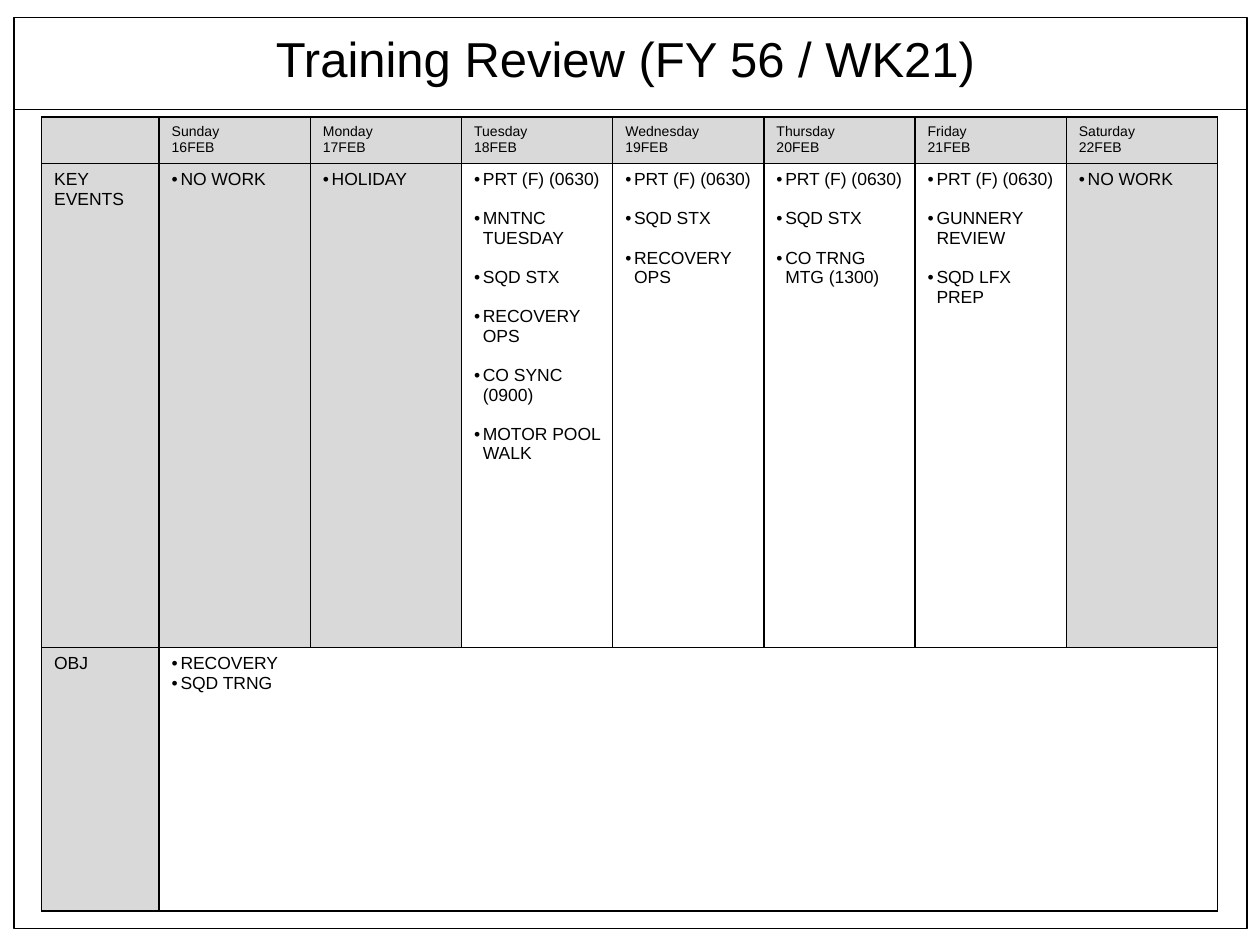
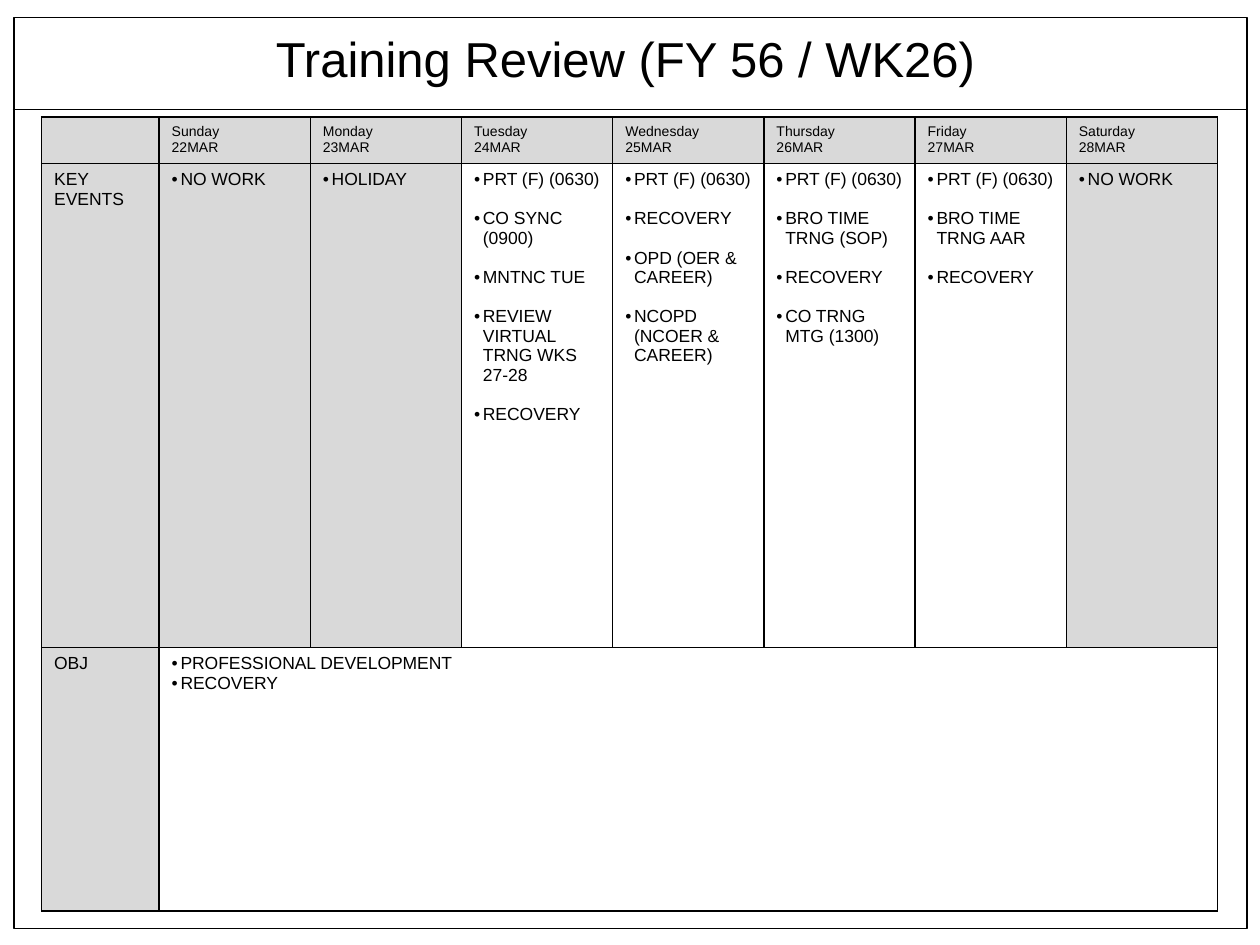
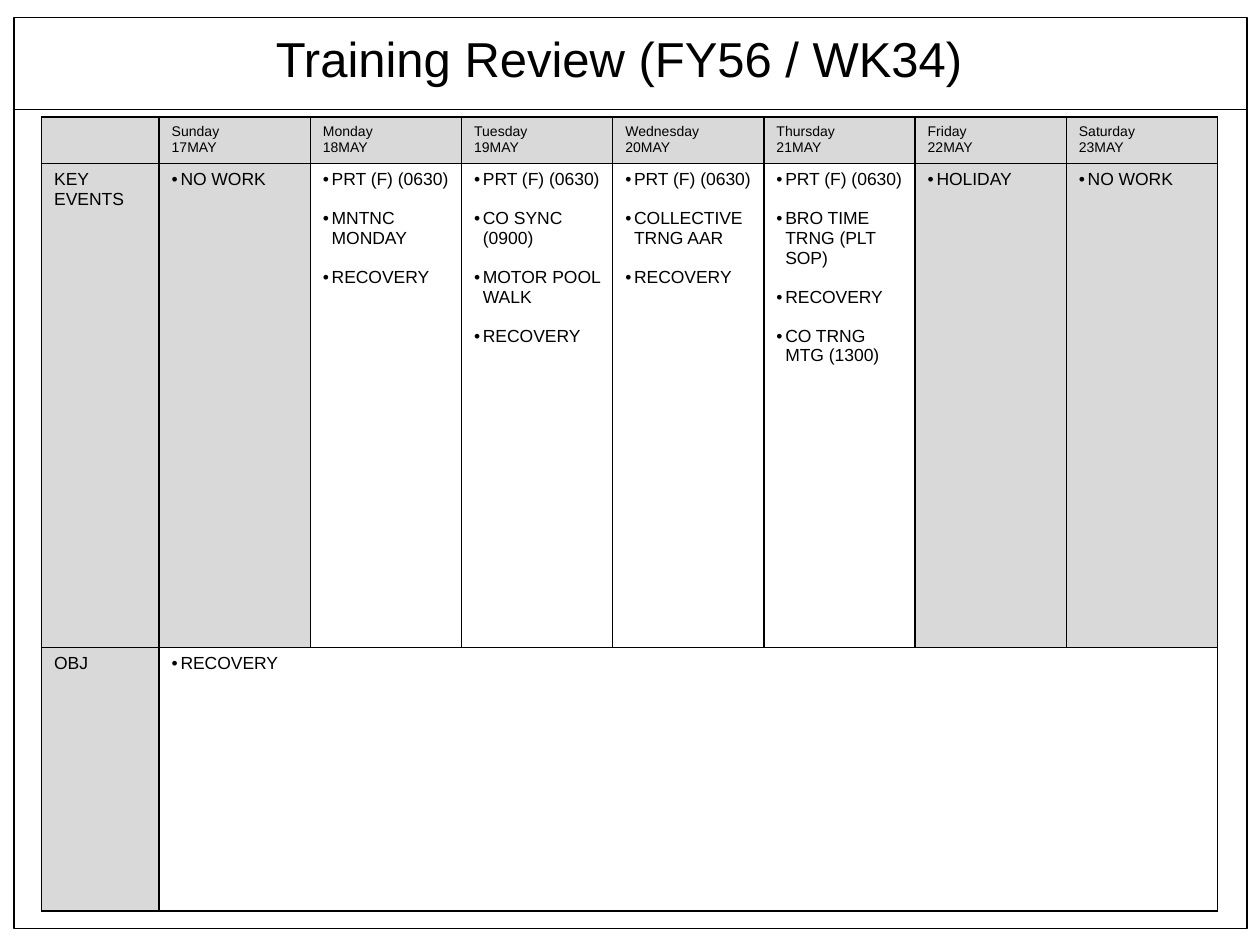
import lxml.etree
import pptx
import pptx.dml.color
import pptx.enum.shapes
import pptx.enum.text
import pptx.oxml.ns
import pptx.util

BLACK = pptx.dml.color.RGBColor(0x00, 0x00, 0x00)
WHITE = pptx.dml.color.RGBColor(0xFF, 0xFF, 0xFF)
GRAY = pptx.dml.color.RGBColor(0xD9, 0xD9, 0xD9)

FONT = "Arial"
COLUMNS, ROWS = 100, 75  # grid over the 10 x 7.5 inch slide
LINE_WIDTH = pptx.util.Pt(1)
EVENT_GAP = 11.2
DAYS = ["Sunday", "Monday", "Tuesday", "Wednesday", "Thursday", "Friday", "Saturday"]
LABEL_WIDTH, DAY_WIDTH = 9.33, 12
ROW_HEIGHTS = [3.7, 38.4, 20.9]

PRT = "PRT (F) (0630)"
NO_WORK, HOLIDAY = ["NO WORK"], ["HOLIDAY"]

WEEKS = [
    {
        "title": "Training Review (FY 56 / WK21)",
        "first_day": 16, "month": "FEB",
        "events": [
            NO_WORK,
            HOLIDAY,
            [PRT, "MNTNC TUESDAY", "SQD STX", "RECOVERY OPS", "CO SYNC (0900)",
             "MOTOR POOL WALK"],
            [PRT, "SQD STX", "RECOVERY OPS"],
            [PRT, "SQD STX", "CO TRNG MTG (1300)"],
            [PRT, "GUNNERY REVIEW", "SQD LFX PREP"],
            NO_WORK,
        ],
        "objectives": ["RECOVERY", "SQD TRNG"],
    },
    {
        "title": "Training Review (FY 56 / WK26)",
        "first_day": 22, "month": "MAR",
        "events": [
            NO_WORK,
            HOLIDAY,
            [PRT, "CO SYNC (0900)", "MNTNC TUE", "REVIEW VIRTUAL TRNG WKS 27-28",
             "RECOVERY"],
            [PRT, "RECOVERY", "OPD (OER & CAREER)", "NCOPD (NCOER & CAREER)"],
            [PRT, "BRO TIME TRNG (SOP)", "RECOVERY", "CO TRNG MTG (1300)"],
            [PRT, "BRO TIME TRNG AAR", "RECOVERY"],
            NO_WORK,
        ],
        "objectives": ["PROFESSIONAL DEVELOPMENT", "RECOVERY"],
    },
    {
        "title": "Training Review (FY56 / WK34)",
        "first_day": 17, "month": "MAY",
        "events": [
            NO_WORK,
            [PRT, "MNTNC MONDAY", "RECOVERY"],
            [PRT, "CO SYNC (0900)", "MOTOR POOL WALK", "RECOVERY"],
            [PRT, "COLLECTIVE TRNG AAR", "RECOVERY"],
            [PRT, "BRO TIME TRNG (PLT SOP)", "RECOVERY", "CO TRNG MTG (1300)"],
            HOLIDAY,
            NO_WORK,
        ],
        "objectives": ["RECOVERY"],
    },
]


def add_element(parent, tag, **attributes):
    return lxml.etree.SubElement(parent, pptx.oxml.ns.qn(tag), **attributes)


class Deck:
    """Holds the presentation, its style and the current slide."""

    def __init__(self):
        self.prs = pptx.Presentation()
        self.prs.slide_width = pptx.util.Inches(10)
        self.prs.slide_height = pptx.util.Inches(7.5)

    def x(self, columns):
        return round(self.prs.slide_width * columns / COLUMNS)

    def y(self, rows):
        return round(self.prs.slide_height * rows / ROWS)

    def box(self, left, top, width, height):
        return self.x(left), self.y(top), self.x(width), self.y(height)

    def new_slide(self, title):
        self.s = self.prs.slides.add_slide(self.prs.slide_layouts[5])
        self.frame()
        self.rule(1, 98.9, 8.7)
        self.title(title)

    def frame(self):
        sp = self.s.shapes.add_shape(
            pptx.enum.shapes.MSO_SHAPE.RECTANGLE, *self.box(1.1, 1.4, 97.9, 72.3))
        sp.shadow.inherit = False
        sp.fill.background()
        sp.line.color.rgb = BLACK
        sp.line.width = LINE_WIDTH

    def rule(self, left, right, top):
        line = self.s.shapes.add_connector(
            pptx.enum.shapes.MSO_CONNECTOR.STRAIGHT,
            self.x(left), self.y(top), self.x(right), self.y(top))
        line.line.color.rgb = BLACK
        line.line.width = LINE_WIDTH
        add_element(line._element.spPr, "a:effectLst")

    def title(self, text):
        sp = self.s.shapes.title
        sp.left, sp.top, sp.width, sp.height = self.box(20.9, 1.8, 58.2, 5.7)
        tf = sp.text_frame
        tf.word_wrap = False
        tf.auto_size = pptx.enum.text.MSO_AUTO_SIZE.SHAPE_TO_FIT_TEXT
        tf.vertical_anchor = pptx.enum.text.MSO_ANCHOR.TOP
        p = tf.paragraphs[0]
        p.alignment = pptx.enum.text.PP_ALIGN.LEFT
        self.run(p, text, 28)

    def run(self, p, text, size):
        r = p.add_run()
        r.text = text
        r.font.name = FONT
        r.font.size = pptx.util.Pt(size)
        r.font.color.rgb = BLACK

    def bullet(self, p):
        indent = pptx.util.Inches(0.07)
        pPr = p._p.get_or_add_pPr()
        pPr.set("marL", str(indent))
        pPr.set("indent", str(-indent))
        add_element(pPr, "a:buFont", typeface=FONT)
        add_element(pPr, "a:buChar", char="•")

    def cell(self, cell, lines, fill, size=10, bullets=False, gap=0):
        tcPr = cell._tc.get_or_add_tcPr()
        for side in ("a:lnL", "a:lnR", "a:lnT", "a:lnB"):
            ln = add_element(tcPr, side, w=str(LINE_WIDTH))
            solid = add_element(ln, "a:solidFill")
            add_element(solid, "a:srgbClr", val=str(BLACK))
        cell.fill.solid()
        cell.fill.fore_color.rgb = fill
        tf = cell.text_frame
        for i, text in enumerate(lines):
            p = tf.add_paragraph() if i else tf.paragraphs[0]
            if bullets:
                self.bullet(p)
            if i and gap:
                p.space_before = pptx.util.Pt(gap)
            self.run(p, text, size)
        if not lines:
            add_element(tf.paragraphs[0]._p, "a:endParaRPr", sz=str(size * 100))

    def schedule(self, first_day, month, events, objectives):
        widths = [LABEL_WIDTH] + [DAY_WIDTH] * len(DAYS)
        table = self.s.shapes.add_table(
            len(ROW_HEIGHTS), len(widths),
            *self.box(3.3, 9.3, sum(widths), sum(ROW_HEIGHTS))).table
        table.first_row = table.horz_banding = False
        for column, width in zip(table.columns, widths):
            column.width = self.x(width)
        for row, height in zip(table.rows, ROW_HEIGHTS):
            row.height = self.y(height)

        for row, label in enumerate([[], ["KEY EVENTS"], ["OBJ"]]):
            self.cell(table.cell(row, 0), label, GRAY, size=10 if label else 8)
        for i, (day, tasks) in enumerate(zip(DAYS, events)):
            date = f"{first_day + i}{month}"
            self.cell(table.cell(0, i + 1), [day, date], GRAY, size=8)
            fill = GRAY if tasks in (NO_WORK, HOLIDAY) else WHITE
            self.cell(table.cell(1, i + 1), tasks, fill, bullets=True, gap=EVENT_GAP)
            self.cell(table.cell(2, i + 1), [] if i else objectives, WHITE, bullets=True)
        table.cell(2, 1).merge(table.cell(2, len(DAYS)))


def main():
    deck = Deck()
    for week in WEEKS:
        deck.new_slide(week["title"])
        deck.schedule(week["first_day"], week["month"], week["events"], week["objectives"])
    deck.prs.save("out.pptx")


if __name__ == "__main__":
    main()
